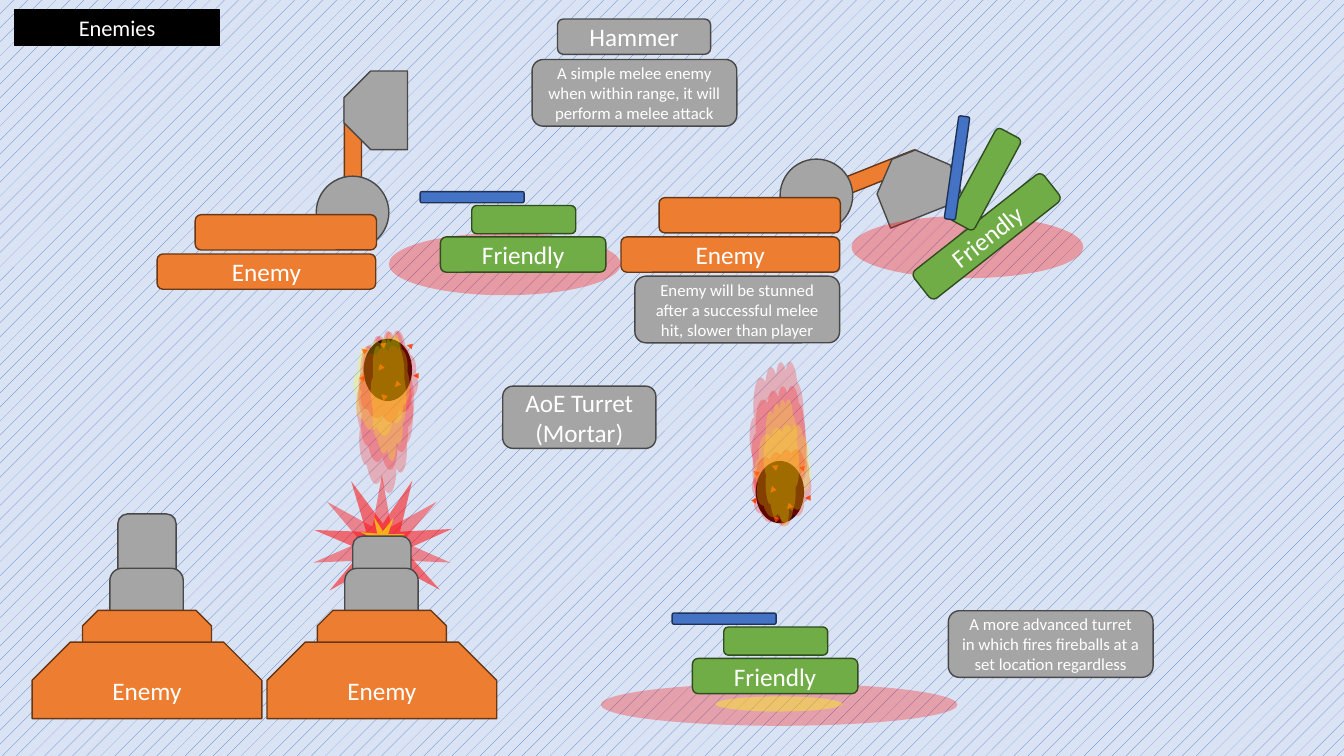
from dataclasses import dataclass

from pptx import Presentation
from pptx import util as u
from pptx.dml import color, fill as dml_fill
from pptx.enum import dml, shapes, text
from pptx.oxml import ns
from pptx.oxml.xmlchemy import OxmlElement

K = shapes.MSO_SHAPE
GREY, ORANGE, GREEN, BLUE, BLACK = "A5A5A5", "ED7D31", "70AD47", "4472C4", "000000"
RED, YELLOW, EMBER, CHAR = "FF0000", "FFFF00", "FE7F00", "2E0A00"
OUTLINES = {GREY: "484848", ORANGE: "683715", GREEN: "314C1F", BLUE: "1E3256", BLACK: BLACK}
FRAME_FORMAT = {"word_wrap": True, "vertical_anchor": text.MSO_ANCHOR.MIDDLE}


@dataclass
class Part:
    kind: K
    x: float
    y: float
    w: float
    h: float
    hue: str
    rot: float = 0
    alpha: int = 100
    adj: tuple[float, ...] = ()
    label: str = ""
    size: int = 18


@dataclass
class Hammer:
    x: float
    y: float
    arm: tuple[float, float, float]
    head: tuple[float, float, float]


@dataclass
class Tank:
    x: float
    y: float
    tilt: float = 0
    turret: tuple[float, float, float] = (0.79, -0.79, 0)
    gun: tuple[float, float, float] = (-0.51, -1.14, 0)


@dataclass
class Mortar:
    x: float
    barrel_y: float
    barrel_h: float


@dataclass
class Fireball:
    x: float
    y: float
    flames: tuple[tuple[float, float], ...]


FLAMES = (
    (1.42, 4.09, RED, 23),
    (1.4, 3.48, RED, 23),
    (1.5, 1.93, RED, 24),
    (0.89, 3.2, YELLOW, 23),
    (1.42, 2.46, YELLOW, 23),
)
EMBERS = (
    (0.1, 0.05, 311.9), (0.52, 0.49, 220.8), (0.57, -0.1, 293.1), (0.08, 0.73, 36.9),
    (1.25, -0.07, 283.6), (0.6, 1.2, 311.9), (1.41, 0.68, 270.3), (0.94, 0.91, 222.6),
)


def rgb(value: str) -> color.RGBColor:
    return color.RGBColor.from_string(value)


def paint(fill: dml_fill.FillFormat, hue: str, alpha: int = 100) -> None:
    fill.solid()
    fill.fore_color.rgb = rgb(hue)
    if alpha < 100:
        node = OxmlElement("a:alpha")
        node.set("val", str(alpha * 1000))
        fill._xPr.find(".//" + ns.qn("a:srgbClr")).append(node)


def finish(sp, part: Part) -> None:
    sp.rotation = part.rot
    paint(sp.fill, part.hue, part.alpha)
    if part.hue in OUTLINES:
        paint(sp.line.fill, OUTLINES[part.hue])
        sp.line.width = u.Pt(1)
    else:
        sp.line.fill.background()
    if part.label:
        tf = sp.text_frame
        tf.text = part.label
        for name, value in FRAME_FORMAT.items():
            setattr(tf, name, value)
        for p in tf.paragraphs:
            p.alignment = text.PP_ALIGN.CENTER
            for name, value in {"name": "Calibri", "size": u.Pt(part.size)}.items():
                setattr(p.runs[0].font, name, value)
            paint(p.runs[0].font.fill, "FFFFFF")


def draw(s, part: Part) -> None:
    box = (u.Cm(v) for v in (part.x, part.y, part.w, part.h))
    sp = s.shapes.add_shape(part.kind, *box)
    sp.shadow.inherit = False
    for i, value in enumerate(part.adj):
        sp.adjustments[i] = value
    finish(sp, part)


def draw_title(s, part: Part) -> None:
    sp = s.shapes.title
    sp.left, sp.top, sp.width, sp.height = (u.Cm(v) for v in (part.x, part.y, part.w, part.h))
    geom = OxmlElement("a:prstGeom")
    geom.set("prst", "roundRect")
    geom.append(OxmlElement("a:avLst"))
    sp._element.spPr.append(geom)
    finish(sp, part)


def bar(x: float, y: float, w: float, h: float, hue: str, rot: float = 0,
        label: str = "", size: int = 18) -> Part:
    return Part(K.ROUNDED_RECTANGLE, x, y, w, h, hue, rot, label=label, size=size)


def snip(x: float, y: float, w: float, h: float, hue: str, cut: float,
         rot: float = 0, label: str = "") -> Part:
    return Part(K.SNIP_2_SAME_RECTANGLE, x, y, w, h, hue, rot, adj=(cut, 0), label=label)


def blast(x: float, y: float, w: float, hue: str, rot: float, alpha: int) -> Part:
    return Part(K.STAR_7_POINT, x, y, w, w, hue, rot, alpha, (0.153,))


def zone(x: float, y: float, w: float, h: float, hue: str, alpha: int) -> Part:
    return Part(K.OVAL, x, y, w, h, hue, alpha=alpha)


def note(x: float, y: float, label: str) -> Part:
    return bar(x, y, 5.16, 1.68, GREY, label=label, size=12)


def hammer_parts(m: Hammer) -> list[Part]:
    (ax, ay, arm_rot), (hx, hy, head_rot) = m.arm, m.head
    return [
        bar(m.x + ax, m.y + ay, 0.43, 2.97, ORANGE, arm_rot),
        Part(K.OVAL, m.x + 4.01, m.y - 1.96, 1.83, 1.83, GREY),
        bar(m.x, m.y, 5.51, 0.89, ORANGE, label="Enemy"),
        bar(m.x + 0.96, m.y - 0.99, 4.57, 0.89, ORANGE),
        snip(m.x + hx, m.y + hy, 1.98, 1.6, GREY, 0.42, head_rot),
    ]


def tank_parts(t: Tank) -> list[Part]:
    (tx, ty, turret_rot), (gx, gy, gun_rot) = t.turret, t.gun
    return [
        bar(t.x, t.y, 4.17, 0.89, GREEN, t.tilt, "Friendly"),
        bar(t.x + tx, t.y + ty, 2.62, 0.71, GREEN, turret_rot),
        bar(t.x + gx, t.y + gy, 2.62, 0.28, BLUE, gun_rot),
    ]


def mortar_parts(m: Mortar) -> list[Part]:
    return [
        bar(m.x + 2.16, m.barrel_y, 1.47, m.barrel_h, GREY),
        bar(m.x + 1.96, 14.32, 1.85, 1.93, GREY),
        snip(m.x + 1.27, 15.38, 3.25, 1.45, ORANGE, 0.27),
        snip(m.x, 16.18, 5.79, 1.93, ORANGE, 0.5, label="Enemy"),
    ]


def fireball_parts(b: Fireball) -> list[Part]:
    clouds = [Part(K.CLOUD, b.x + dx, b.y + dy, w, h, hue, 357.4, alpha)
              for (dx, dy), (w, h, hue, alpha) in zip(b.flames, FLAMES)]
    core = Part(K.OVAL, b.x, b.y, 1.57, 1.22, CHAR, 270.3)
    embers = [Part(K.ISOSCELES_TRIANGLE, b.x + dx + inset, b.y + dy + inset / 2, w, w, hue, rot, alpha)
              for dx, dy, rot in EMBERS
              for inset, w, hue, alpha in ((0, 0.15, EMBER, 63), (0.02, 0.13, RED, 50))]
    return clouds[:2] + [core] + embers + clouds[2:]


def main() -> None:
    prs = Presentation()
    prs.slide_width, prs.slide_height = u.Cm(33.87), u.Cm(19.05)
    s = prs.slides.add_slide(prs.slide_layouts[5])
    bg = s.background.fill
    bg.patterned()
    bg.pattern = dml.MSO_PATTERN.PERCENT_5
    bg.fore_color.rgb, bg.back_color.rgb = rgb(BLUE), rgb("DAE3F3")

    draw_title(s, bar(0.36, 0.25, 5.18, 0.89, BLACK, label="Enemies", size=16))
    rising = Fireball(8.99, 8.71, ((0, -0.38), (0.05, -0.36), (0.05, 0), (0.36, -0.3), (-0.08, -0.2)))
    falling = Fireball(18.87, 11.79, ((0.03, -2.67), (0.08, -2.06), (0.08, -0.46), (0.38, -1.73), (0.15, -1.09)))
    parts = [
        blast(7.9, 11.94, 3.45, RED, 333.3, 53),
        blast(7.9, 11.96, 3.45, RED, 0, 42),
        blast(9.09, 12.98, 1.12, YELLOW, 29, 58),
        *hammer_parts(Hammer(3.96, 6.4, (4.72, -3.96, 0), (4.52, -4.42, 270))),
        bar(14.05, 0.48, 3.86, 0.89, GREY, label="Hammer"),
        zone(9.8, 5.87, 5.84, 1.57, RED, 32),
        *tank_parts(Tank(11.1, 5.97)),
        *hammer_parts(Hammer(15.65, 5.97, (5.92, -2.95, 68.3), (6.43, -2.13, 338.3))),
        zone(21.46, 5.44, 5.84, 1.57, RED, 32),
        *tank_parts(Tank(22.78, 5.51, 321.8, (0.74, -1.35, 298.3), (0.03, -1.42, 278.1))),
        note(13.41, 1.5, "A simple melee enemy when within range, it will perform a melee attack"),
        note(16, 6.96, "Enemy will be stunned after a successful melee hit, slower than player"),
        bar(12.67, 9.73, 3.86, 1.57, GREY, label="AoE Turret\n(Mortar)"),
        zone(15.14, 17.22, 8.99, 1.07, RED, 29),
        zone(18.03, 17.55, 3.2, 0.38, YELLOW, 37),
        *mortar_parts(Mortar(0.81, 12.95, 4.06)),
        *mortar_parts(Mortar(6.73, 13.51, 2.95)),
        *fireball_parts(rising),
        *fireball_parts(falling),
        *tank_parts(Tank(17.45, 16.59)),
        note(23.9, 15.39, "A more advanced turret in which fires fireballs at a set location regardless"),
    ]
    for part in parts:
        draw(s, part)
    prs.save("out.pptx")


if __name__ == "__main__":
    main()
